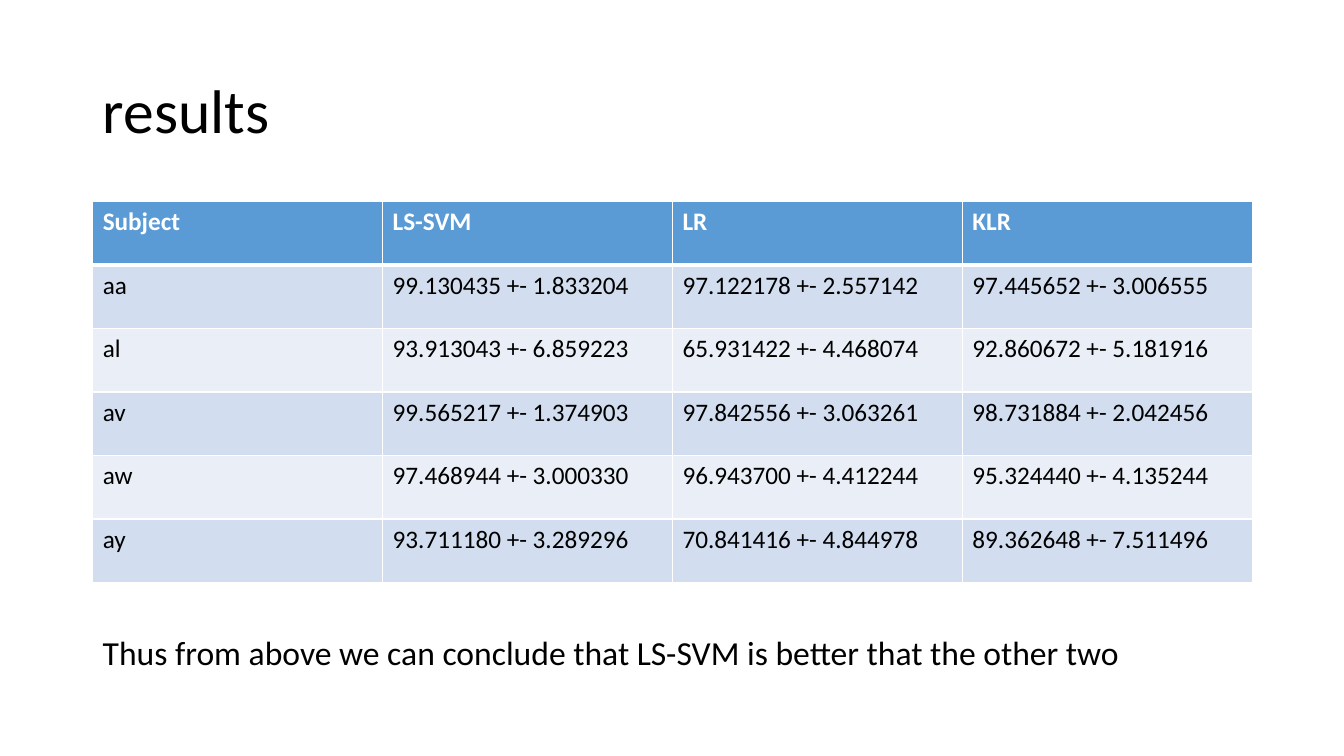
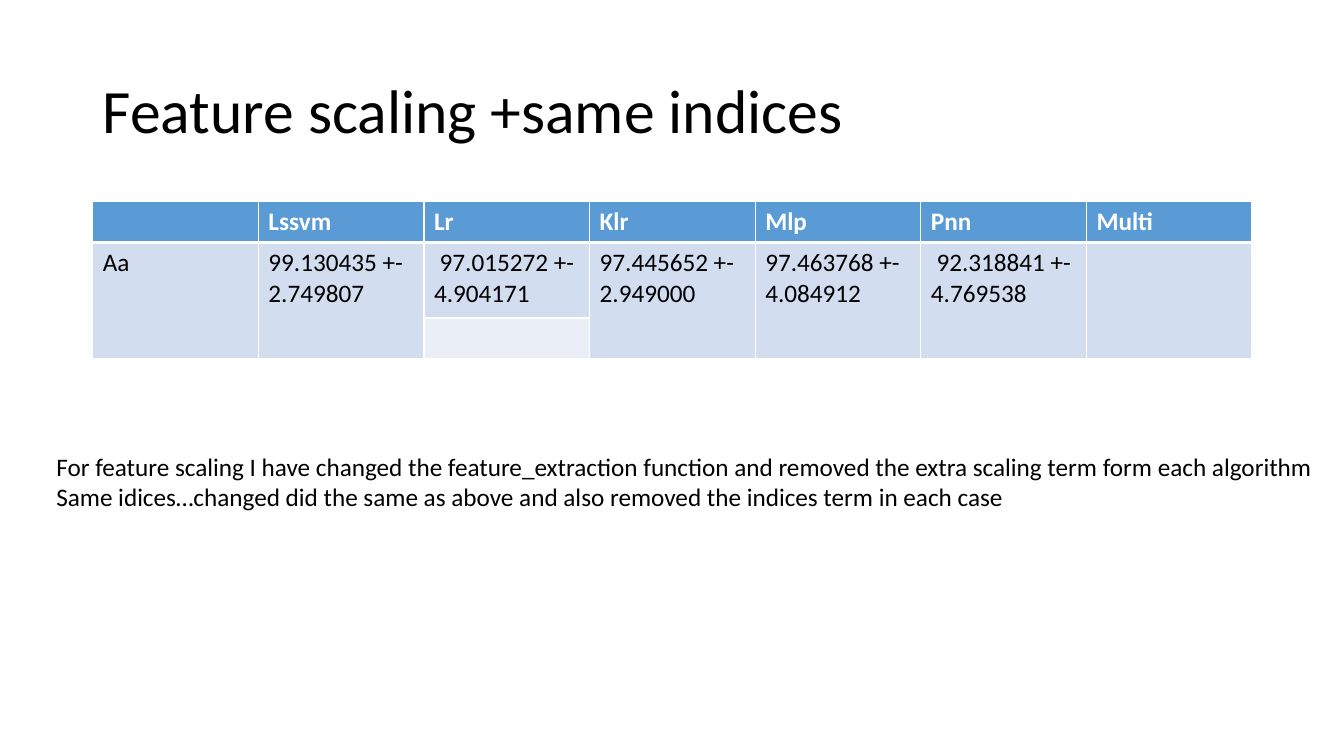
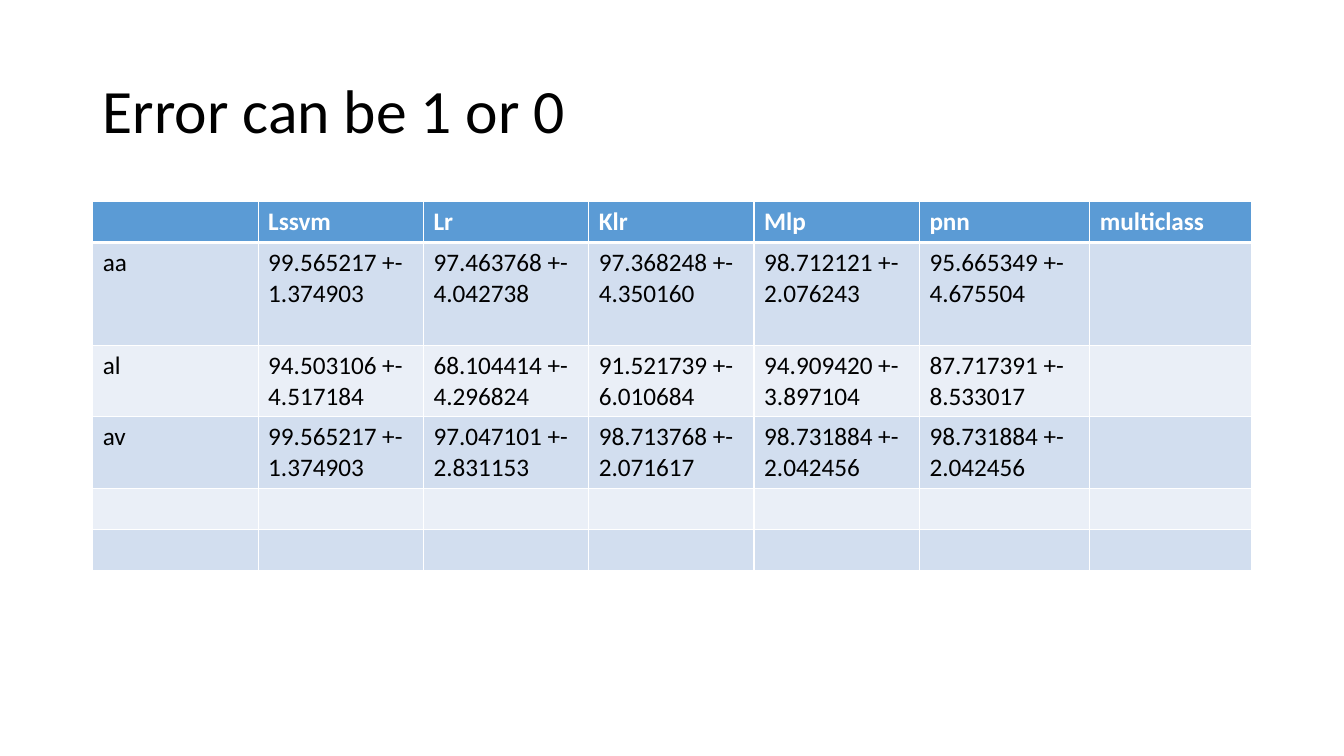
from dataclasses import dataclass

from pptx import Presentation
from pptx.dml.color import RGBColor
from pptx.enum.text import MSO_ANCHOR, MSO_AUTO_SIZE, PP_ALIGN
from pptx.oxml import parse_xml
from pptx.oxml.ns import nsdecls
from pptx.util import Inches, Pt

MIDDLE = MSO_ANCHOR.MIDDLE
LEFT = PP_ALIGN.LEFT
NO_AUTOFIT = MSO_AUTO_SIZE.NONE
TITLE_ONLY = 5

# Content: cells merged downwards are given as (column, first row, last row).
SLIDES = [
    {
        "title": "results",
        "rows": [
            ("Subject", "LS-SVM", "LR", "KLR"),
            ("aa", "99.130435 +- 1.833204", "97.122178 +- 2.557142", "97.445652 +- 3.006555"),
            ("al", "93.913043 +- 6.859223", "65.931422 +- 4.468074", "92.860672 +- 5.181916"),
            ("av", "99.565217 +- 1.374903", "97.842556 +- 3.063261", "98.731884 +- 2.042456"),
            ("aw", "97.468944 +- 3.000330", "96.943700 +- 4.412244", "95.324440 +- 4.135244"),
            ("ay", "93.711180 +- 3.289296", "70.841416 +- 4.844978", "89.362648 +- 7.511496"),
        ],
        "column_widths": [2.875] * 4,
        "row_heights": [0.63] * 6,
        "merges": [],
        "note": {
            "lines": ["Thus from above we can conclude that LS-SVM is better that the other two"],
            "box": (0.92, 6.22, 10.38, 0.5),
            "size": 24,
        },
    },
    {
        "title": "Feature scaling +same indices",
        "rows": [
            ("", "Lssvm", "Lr", "Klr", "Mlp", "Pnn", "Multi"),
            ("Aa", "99.130435 +- 2.749807", " 97.015272 +- 4.904171", "97.445652 +- 2.949000",
             "97.463768 +- 4.084912", " 92.318841 +- 4.769538", ""),
            ("",) * 7,
        ],
        "column_widths": [11.5 / 7] * 7,
        "row_heights": [0.4, 0.75, 0.4],
        "merges": [(column, 1, 2) for column in range(7) if column != 2],
        "note": {
            "lines": [
                "For feature scaling I have changed the feature_extraction function and removed "
                "the extra scaling term form each algorithm",
                "Same idices…changed did the same as above and also removed the indices term in each case",
            ],
            "box": (0.46, 4.43, 12.81, 1.31),
            "size": 18,
        },
    },
    {
        "title": "Error can be 1 or 0",
        "rows": [
            ("", "Lssvm", "Lr", "Klr", "Mlp", "pnn", "multiclass"),
            ("aa", "99.565217 +- 1.374903", "97.463768 +- 4.042738", "97.368248 +- 4.350160",
             "98.712121 +- 2.076243", "95.665349 +- 4.675504", ""),
            ("al", "94.503106 +- 4.517184", "68.104414 +- 4.296824", "91.521739 +- 6.010684",
             "94.909420 +- 3.897104", "87.717391 +- 8.533017", ""),
            ("av", "99.565217 +- 1.374903", "97.047101 +- 2.831153", "98.713768 +- 2.071617",
             "98.731884 +- 2.042456", "98.731884 +- 2.042456", ""),
            ("",) * 7,
            ("",) * 7,
        ],
        "column_widths": [1.64] * 5 + [1.69, 1.6],
        "row_heights": [0.4, 1.02, 0.71, 0.71, 0.4, 0.4],
        "merges": [],
        "note": None,
    },
]


@dataclass(frozen=True)
class Theme:
    """Colours, type sizes and line widths shared by all slides."""

    font: str = "Calibri"
    text: str = "000000"
    header_text: str = "FFFFFF"
    header_fill: str = "5B9BD5"
    bands: tuple = ("D2DEEF", "EAEFF7")
    border: str = "FFFFFF"
    thin: int = 1
    thick: int = 3
    title_size: int = 44
    table_size: int = 18


THEME = Theme()
TITLE_BOX = (0.92, 0.4, 11.5, 1.45)
TABLE_LEFT, TABLE_TOP = 0.92, 2


def format_runs(text_frame, size, color, bold=False):
    """Give every run of a text frame the same font."""
    for paragraph in text_frame.paragraphs:
        for run in paragraph.runs:
            run.font.name = THEME.font
            run.font.size = Pt(size)
            run.font.bold = bold
            run.font.color.rgb = RGBColor.from_string(color)


def set_title(slide, text):
    """Place and format the title placeholder."""
    title = slide.shapes.title
    title.left, title.top, title.width, title.height = map(Inches, TITLE_BOX)
    text_frame = title.text_frame
    text_frame.text = text
    text_frame.auto_size = NO_AUTOFIT
    text_frame.vertical_anchor = MIDDLE
    paragraph = text_frame.paragraphs[0]
    paragraph.alignment = LEFT
    paragraph.line_spacing = 0.9
    format_runs(text_frame, THEME.title_size, THEME.text)


def set_borders(cell, row_index):
    """Draw thin cell borders, with a thick line under the header row."""
    top = THEME.thick if row_index == 1 else THEME.thin
    bottom = THEME.thick if row_index == 0 else THEME.thin
    properties = cell._tc.get_or_add_tcPr()
    for side, width in (("L", THEME.thin), ("R", THEME.thin), ("T", top), ("B", bottom)):
        properties.append(parse_xml(
            f'<a:ln{side} {nsdecls("a")} w="{Pt(width)}"><a:solidFill>'
            f'<a:srgbClr val="{THEME.border}"/></a:solidFill></a:ln{side}>'
        ))


def format_cell(cell, text, row_index):
    """Fill in one cell as header or banded body."""
    header = row_index == 0
    fill = THEME.header_fill if header else THEME.bands[(row_index - 1) % 2]
    set_borders(cell, row_index)
    cell.fill.solid()
    cell.fill.fore_color.rgb = RGBColor.from_string(fill)
    cell.text_frame.text = text
    color = THEME.header_text if header else THEME.text
    format_runs(cell.text_frame, THEME.table_size, color, bold=header)


def add_results_table(slide, content):
    """Add the table of one slide."""
    rows, widths, heights = content["rows"], content["column_widths"], content["row_heights"]
    table = slide.shapes.add_table(
        len(rows), len(widths), Inches(TABLE_LEFT), Inches(TABLE_TOP),
        Inches(sum(widths)), Inches(sum(heights)),
    ).table
    for column, width in zip(table.columns, widths):
        column.width = Inches(width)
    for row, height in zip(table.rows, heights):
        row.height = Inches(height)
    for row_index, texts in enumerate(rows):
        for column_index, text in enumerate(texts):
            format_cell(table.cell(row_index, column_index), text, row_index)
    for column_index, first, last in content["merges"]:
        table.cell(first, column_index).merge(table.cell(last, column_index))


def add_note(slide, note):
    """Add the remark below the table."""
    text_frame = slide.shapes.add_textbox(*map(Inches, note["box"])).text_frame
    text_frame.word_wrap = True
    text_frame.auto_size = NO_AUTOFIT
    text_frame.text = "\n".join(note["lines"])
    format_runs(text_frame, note["size"], THEME.text)


def build():
    """Build and save the presentation."""
    presentation = Presentation()
    presentation.slide_width = Inches(13.33)
    presentation.slide_height = Inches(7.5)
    for content in SLIDES:
        slide = presentation.slides.add_slide(presentation.slide_layouts[TITLE_ONLY])
        set_title(slide, content["title"])
        add_results_table(slide, content)
        if content["note"]:
            add_note(slide, content["note"])
    presentation.save("out.pptx")


build()
